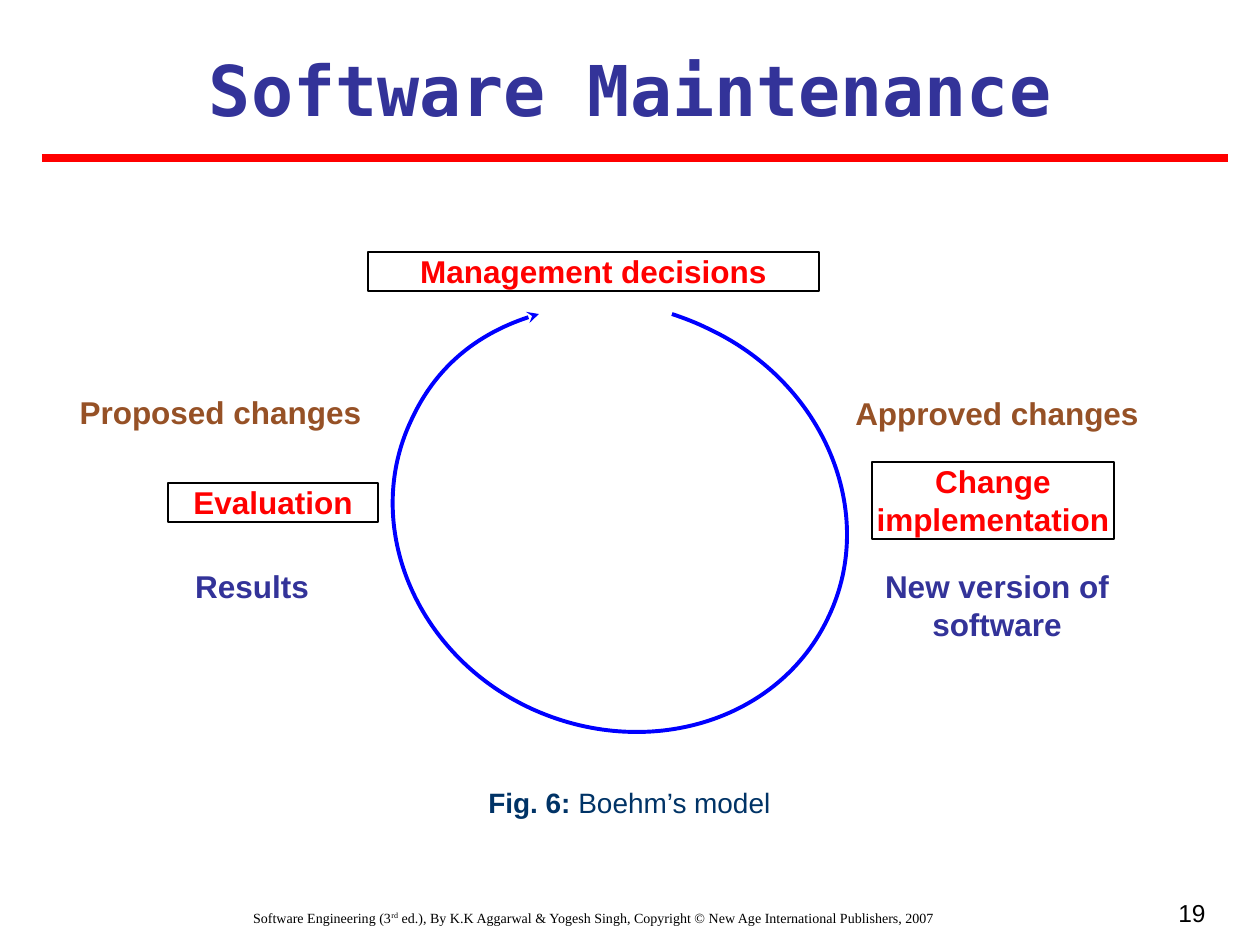
import lxml.etree
import pptx
import pptx.dml.color
import pptx.enum.shapes
import pptx.enum.text
import pptx.oxml.ns
import pptx.util

PX = 914400 // 126
qn = pptx.oxml.ns.qn
CENTER = pptx.enum.text.PP_ALIGN.CENTER
RIGHT = pptx.enum.text.PP_ALIGN.RIGHT


def rgb(code):
    return pptx.dml.color.RGBColor.from_string(code)


def add_text(box, runs, size, color, font="Arial", bold=None, align=CENTER, inset=None, border=None):
    """Add a text box in px; runs is a list of strings. Return the paragraph."""
    sp = s.shapes.add_textbox(*[v * PX for v in box])
    if border:
        sp.line.color.rgb = rgb(border)
        sp.line.width = pptx.util.Pt(1)
    tf = sp.text_frame
    tf.word_wrap = True
    if inset is not None:
        tf.margin_left = tf.margin_top = tf.margin_right = tf.margin_bottom = inset
    p = tf.paragraphs[0]
    p.alignment = align
    p.font.size = pptx.util.Pt(size)
    p.font.name = font
    p.font.bold = bold
    p.font.color.rgb = rgb(color)
    for text in runs:
        p.add_run().text = text
    return p


prs = pptx.Presentation()
prs.slide_width = 1260 * PX
prs.slide_height = 945 * PX
s = prs.slides.add_slide(prs.slide_layouts[6])

# Footer, slide number and title
p = add_text((32, 903, 1124, 42), [
    "Software Engineering (3", "rd",
    " ed.), By K.K Aggarwal & Yogesh Singh, Copyright © New Age International Publishers, 2007",
], 8, "000000", font="Times New Roman")
p.runs[1].font._element.set("baseline", "30000")
add_text((924, 892, 294, 53), ["19"], 14, "000000", align=RIGHT)
add_text((42, 40, 1176, 97), ["Software Maintenance"], 40, "333399", font="DejaVu Sans Mono", bold=True)

rule = s.shapes.add_connector(pptx.enum.shapes.MSO_CONNECTOR.STRAIGHT, 42 * PX, 158 * PX, 1228 * PX, 158 * PX)
rule.line.color.rgb = rgb("FF0000")
rule.line.width = pptx.util.Pt(4.5)
lxml.etree.SubElement(rule._element.spPr, qn("a:effectLst"))

# Cycle arrow: a start point, then three points for each Bézier curve
cycle = [
    (672, 314),
    (684, 318), (697, 323), (709, 329),
    (824, 383), (878, 512), (829, 616),
    (780, 722), (646, 762), (530, 708),
    (415, 654), (362, 525), (411, 421),
    (435, 368), (481, 330), (539, 314),
]
builder = s.shapes.build_freeform(*cycle[0], scale=PX)
builder.add_line_segments(cycle[1:], close=False)
sp = builder.convert_to_shape()
sp.shadow.inherit = False
sp.fill.background()
sp.line.color.rgb = rgb("0000FF")
sp.line.width = pptx.util.Pt(2.25)
lxml.etree.SubElement(sp.line._get_or_add_ln(), qn("a:tailEnd"), type="stealth")
path = sp._element.find(".//" + qn("a:path"))
segments = path.findall(qn("a:lnTo"))
for i in range(0, len(segments), 3):
    curve = lxml.etree.SubElement(path, qn("a:cubicBezTo"))
    for segment in segments[i:i + 3]:
        curve.append(segment[0])
        path.remove(segment)

# Stages in frames, and what passes between them
labels = [
    ("Management decisions", (368, 252, 451, 39), "FF0000", "000000"),
    ("Change implementation", (872, 462, 242, 77), "FF0000", "000000"),
    ("Evaluation", (168, 483, 210, 39), "FF0000", "000000"),
    ("Approved changes", (850, 394, 294, 38), "965126", None),
    ("Proposed changes", (63, 393, 315, 38), "965126", None),
    ("New version of software", (850, 567, 294, 76), "333399", None),
    ("Results", (147, 567, 210, 38), "333399", None),
]
for text, box, color, border in labels:
    add_text(box, [text], 18, color, bold=True, inset=0, border=border)

p = add_text((262, 786, 735, 34), ["Fig. 6:", " Boehm’s model"], 16, "003366", inset=0)
p.runs[0].font.bold = True

prs.save("out.pptx")
